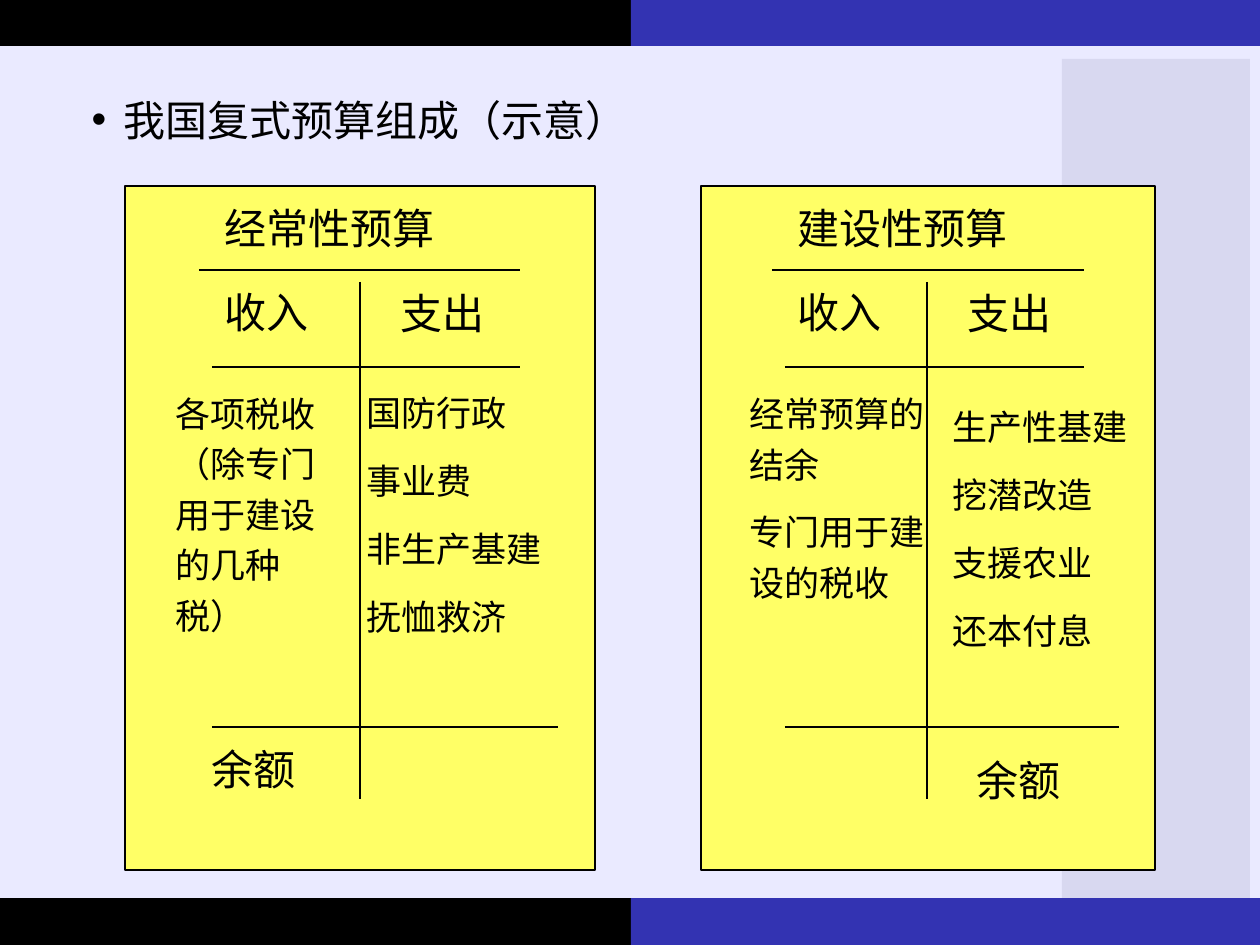
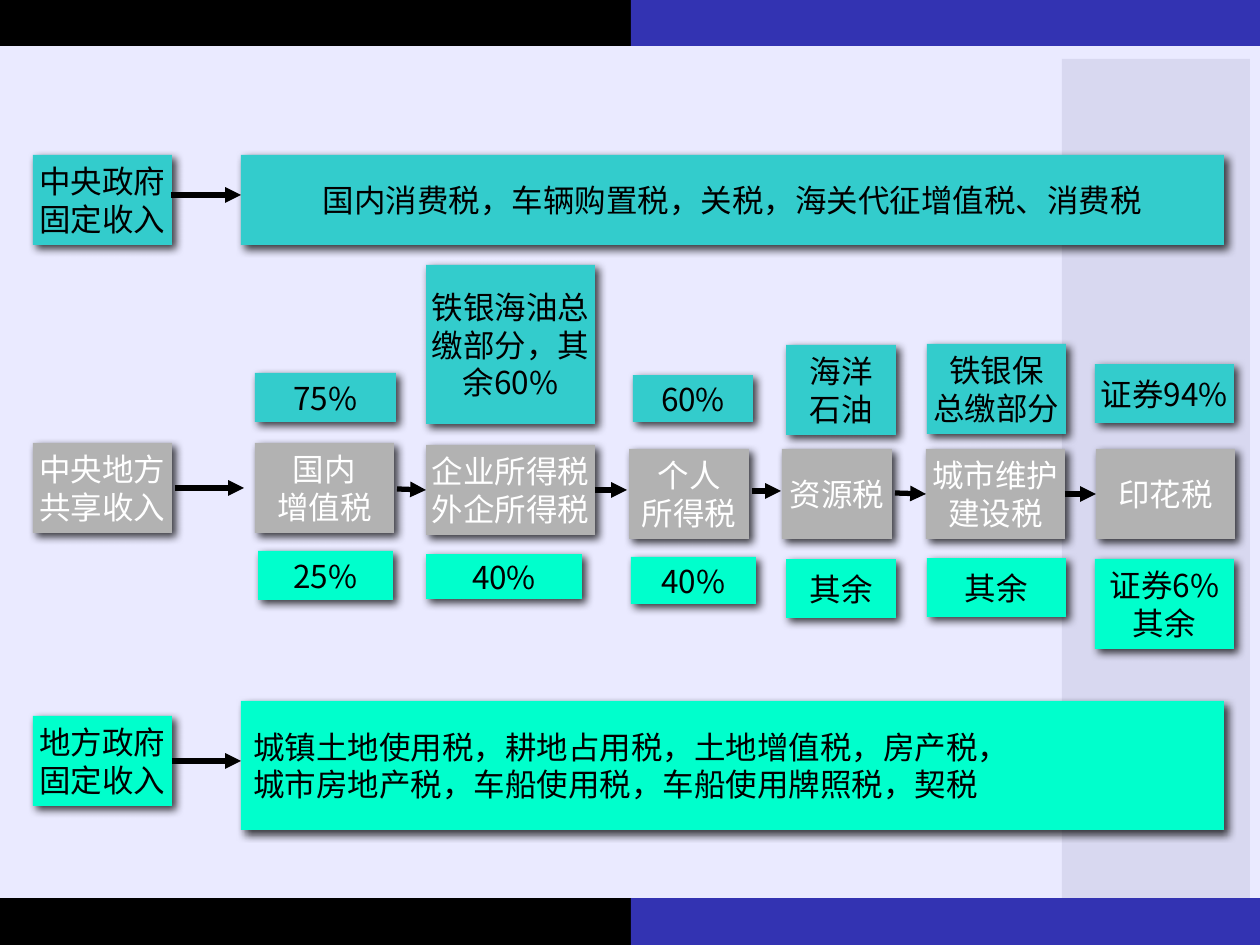
import math

import pptx
import pptx.dml.color
import pptx.enum.dml
import pptx.enum.shapes
import pptx.enum.text
import pptx.oxml
import pptx.oxml.ns
import pptx.util
from lxml import etree

PX = 914400 / 126
SLIDE_SIZE = (1260, 945)
COLOURS = {
    "black": "000000", "white": "FFFFFF", "blue": "3333B2", "page": "EAEAFF",
    "column": "D8D8F0", "yellow": "FFFF66", "central": "33CCCC",
    "shared": "B2B2B2", "local": "00FFCC",
}
SERIF, SANS, SHARED_FONT, TITLE_FONT = (
    "Times New Roman", "Noto Sans CJK SC", "Calibri", "Noto Sans CJK JP")

BANDS = [
    ("page", (0, 46, 1260, 852)),
    ("black", (0, 0, 631, 46)),
    ("blue", (631, 0, 629, 46)),
    ("column", (1062, 59, 188, 849)),
    ("black", (0, 898, 631, 47)),
    ("blue", (631, 898, 629, 47)),
]

HEADING = "我国复式预算组成（示意）"
HEADING_BOX = (79, 88, 999, 669)

BUDGETS = [
    {
        "panel": (125, 186, 470, 684),
        "rules": [(199, 270, 520, 270), (360, 282, 360, 799),
                  (212, 367, 520, 367), (212, 727, 558, 727)],
        "labels": [("经常性预算", (212, 186, 309, 73)),
                   ("收入", (212, 270, 136, 73)),
                   ("支出", (388, 271, 136, 73)),
                   ("余额", (199, 727, 136, 73))],
        "items": [(["国防行政", "事业费", "非生产基建", "抚恤救济"],
                   (354, 377, 260, 277)),
                  (["各项税收（除专门用于建设的几种税）"],
                   (163, 378, 185, 214))],
    },
    {
        "panel": (701, 186, 454, 684),
        "rules": [(772, 270, 1084, 270), (927, 282, 927, 799),
                  (785, 367, 1084, 367), (785, 727, 1119, 727)],
        "labels": [("建设性预算", (785, 186, 299, 73)),
                   ("收入", (785, 270, 131, 73)),
                   ("支出", (955, 271, 131, 73)),
                   ("余额", (964, 738, 131, 73))],
        "items": [(["生产性基建", "挖潜改造", "支援农业", "还本付息"],
                   (940, 391, 251, 277)),
                  (["经常预算的结余", "专门用于建设的税收"],
                   (737, 378, 227, 234))],
    },
]

LEVELS = [
    ("central", ["中央政府", "固定收入"], (33, 155, 139, 90)),
    ("shared", ["中央地方", "共享收入"], (33, 443, 139, 90)),
    ("local", ["地方政府", "固定收入"], (33, 716, 139, 90)),
]
FIXED_TAXES = [
    ("central", ["国内消费税，车辆购置税，关税，海关代征增值税、消费税"],
     (241, 155, 983, 90)),
    ("local", ["城镇土地使用税，耕地占用税，土地增值税，房产税，",
               "城市房地产税，车船使用税，车船使用牌照税，契税"],
     (241, 701, 983, 129)),
]
SHARED_TAXES = [
    ("shared", ["国内", "增值税"], (255, 443, 139, 90)),
    ("shared", ["企业所得税", "外企所得税"], (426, 445, 169, 90)),
    ("shared", ["个人", "所得税"], (629, 449, 120, 90)),
    ("shared", ["资源税"], (782, 449, 110, 90)),
    ("shared", ["城市维护", "建设税"], (926, 449, 139, 90)),
    ("shared", ["印花税"], (1096, 449, 139, 90)),
]
SHARES = [
    ("central", ["75%"], (255, 373, 141, 49)),
    ("local", ["25%"], (258, 551, 135, 49)),
    ("central", ["铁银海油总", "缴部分，其", "余60%"], (426, 265, 169, 159)),
    ("local", ["40%"], (426, 554, 156, 45)),
    ("central", ["60%"], (633, 375, 120, 47)),
    ("local", ["40%"], (631, 557, 125, 47)),
    ("central", ["海洋", "石油"], (786, 345, 110, 90)),
    ("local", ["其余"], (786, 559, 110, 59)),
    ("central", ["铁银保", "总缴部分"], (927, 344, 139, 90)),
    ("local", ["其余"], (927, 558, 139, 59)),
    ("central", ["证券94%"], (1095, 364, 139, 59)),
    ("local", ["证券6%", "其余"], (1095, 559, 139, 90)),
]
ARROWS = [
    (171, 195, 241), (171, 761, 241), (175, 488, 244), (397, 489, 427),
    (597, 490, 627), (752, 491, 781), (895, 493, 925), (1067, 493, 1097),
]
JOIN_REACH = 2.5


def emu(lengths):
    return [round(length * PX) for length in lengths]


def rgb(colour):
    return pptx.dml.color.RGBColor.from_string(COLOURS[colour])


def add_xml(parent, tag, **attributes):
    return etree.SubElement(parent, pptx.oxml.ns.qn(tag), attributes)


def write(frame, lines, size, font, colour="black", align=None):
    for index, line in enumerate(lines):
        paragraph = frame.add_paragraph() if index else frame.paragraphs[0]
        paragraph.alignment = align or pptx.enum.text.PP_ALIGN.LEFT
        run = paragraph.add_run()
        run.text = line
        run.font.size = pptx.util.Pt(size)
        run.font.color.rgb = rgb(colour)
        run.font.name = font
    return frame.paragraphs


def add_rect(shapes, box, fill, outlined=False):
    rect = shapes.add_shape(pptx.enum.shapes.MSO_SHAPE.RECTANGLE, *emu(box))
    rect.shadow.inherit = False
    rect.fill.solid()
    rect.fill.fore_color.rgb = rgb(fill)
    if outlined:
        rect.line.color.rgb = rgb("black")
        rect.line.width = pptx.util.Pt(0.75)
    else:
        rect.line.fill.background()
    return rect


def add_line(shapes, ends, width):
    line = shapes.add_connector(
        pptx.enum.shapes.MSO_CONNECTOR.STRAIGHT, *emu(ends))
    line.line.color.rgb = rgb("black")
    line.line.width = pptx.util.Pt(width)
    add_xml(line.element.spPr, "a:effectLst")
    return line


def add_bands(slide):
    bands = slide.shapes.add_group_shape()
    for colour, box in BANDS:
        add_rect(bands.shapes, box, colour)


def add_heading(slide):
    heading = slide.shapes.title
    heading.element.getparent().append(heading.element)
    heading.left, heading.top, heading.width, heading.height = emu(HEADING_BOX)
    frame = heading.text_frame
    frame.word_wrap = True
    frame.auto_size = pptx.enum.text.MSO_AUTO_SIZE.NONE
    frame.vertical_anchor = pptx.enum.text.MSO_ANCHOR.TOP
    paragraph = write(frame, [HEADING], 24, TITLE_FONT)[0]
    paragraph.space_before = pptx.util.Pt(10)
    properties = paragraph._p.get_or_add_pPr()
    indent = pptx.util.Inches(0.25)
    properties.set("marL", str(indent))
    properties.set("indent", str(-indent))
    add_xml(properties, "a:buFont", typeface="Arial")
    add_xml(properties, "a:buChar", char="•")


def add_budget_text(shapes, lines, box, size):
    frame = shapes.add_textbox(*emu(box)).text_frame
    frame.word_wrap = True
    frame.auto_size = pptx.enum.text.MSO_AUTO_SIZE.SHAPE_TO_FIT_TEXT
    for paragraph in write(frame, lines, size, SERIF):
        paragraph.line_spacing = 1.2
        before = add_xml(paragraph._p.get_or_add_pPr(), "a:spcBef")
        add_xml(before, "a:spcPct", val="50000")


def add_budget(slide, budget):
    shapes = slide.shapes.add_group_shape().shapes
    add_rect(shapes, budget["panel"], "yellow", outlined=True)
    for rule in budget["rules"]:
        add_line(shapes, rule, 0.75)
    for label, box in budget["labels"]:
        add_budget_text(shapes, [label], box, 24)
    for lines, box in budget["items"]:
        add_budget_text(shapes, lines, box, 20)


def add_tax_box(slide, level, lines, box, align):
    tax = add_rect(slide.shapes, box, level)
    effects = tax.element.spPr.find(pptx.oxml.ns.qn("a:effectLst"))
    shadow = add_xml(effects, "a:outerShdw", blurRad=str(pptx.util.Pt(5)),
                     dist=str(pptx.util.Pt(3)), dir="2700000",
                     algn="tl", rotWithShape="0")
    tint = add_xml(shadow, "a:srgbClr", val=COLOURS["black"])
    add_xml(tint, "a:alpha", val="75000")
    frame = tax.text_frame
    frame.word_wrap = False
    frame.vertical_anchor = pptx.enum.text.MSO_ANCHOR.MIDDLE
    shared = level == "shared"
    write(frame, lines, 18, SHARED_FONT if shared else SANS,
          "white" if shared else "black", align)
    return tax


def add_arrow(slide, arrow, placed):
    start, y, end = arrow
    line = add_line(slide.shapes, (start, y, end, y), 3)
    add_xml(line.line._get_or_add_ln(), "a:tailEnd", type="triangle")
    for (left, top, width, height), tax in placed:
        middle = top + height / 2
        if math.dist((left + width, middle), (start, y)) <= JOIN_REACH:
            line.begin_connect(tax, 3)
        if math.dist((left, middle), (end, y)) <= JOIN_REACH:
            line.end_connect(tax, 1)


def main():
    deck = pptx.Presentation()
    deck.slide_width, deck.slide_height = emu(SLIDE_SIZE)
    title_only, blank = deck.slide_layouts[5], deck.slide_layouts[6]

    budget_slide = deck.slides.add_slide(title_only)
    add_bands(budget_slide)
    add_heading(budget_slide)
    for budget in BUDGETS:
        add_budget(budget_slide, budget)

    tax_slide = deck.slides.add_slide(blank)
    add_bands(tax_slide)
    placed = []
    for level, lines, box in LEVELS + FIXED_TAXES + SHARED_TAXES + SHARES:
        is_list = (level, lines, box) == FIXED_TAXES[1]
        align = (pptx.enum.text.PP_ALIGN.LEFT if is_list
                 else pptx.enum.text.PP_ALIGN.CENTER)
        placed.append((box, add_tax_box(tax_slide, level, lines, box, align)))
    for arrow in ARROWS:
        add_arrow(tax_slide, arrow, placed)

    deck.save("out.pptx")


if __name__ == "__main__":
    main()
